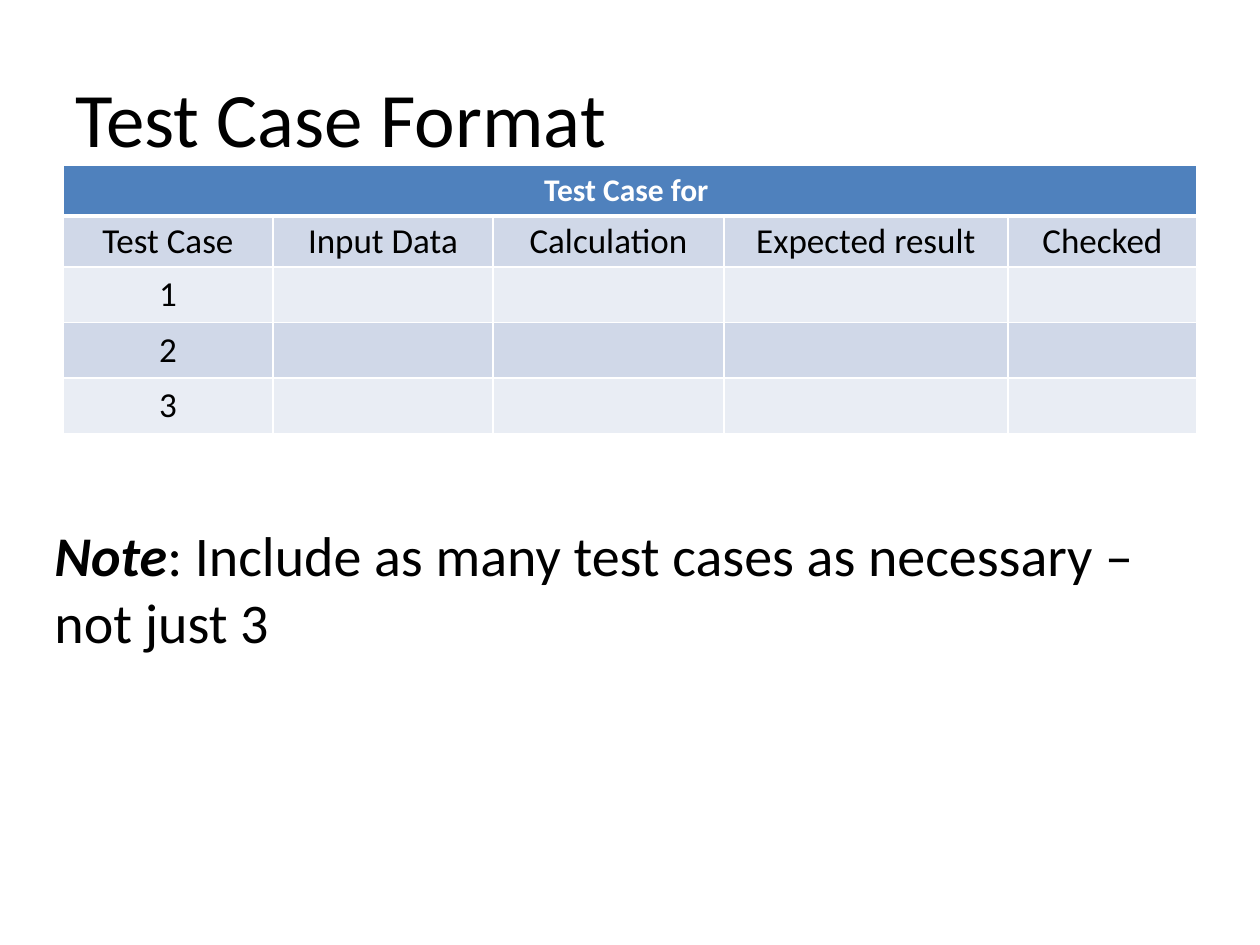
from lxml.etree import SubElement
from pptx import Presentation
from pptx.dml.color import RGBColor
from pptx.enum.text import MSO_ANCHOR, PP_ALIGN
from pptx.oxml.ns import qn
from pptx.util import Emu, Pt

COLORS = {"text": "000000", "white": "FFFFFF", "header": "4F81BD",
          "dark_band": "D0D8E8", "light_band": "E9EDF4"}


def px(length):
    return Emu(round(length * 914400 / 126))


def add_run(paragraph, text, size, color="text", bold=False, italic=False):
    run = paragraph.add_run()
    run.text = text
    run.font.name = "Calibri"
    run.font.size = Pt(size)
    run.font.bold = bold
    run.font.italic = italic
    run.font.color.rgb = RGBColor.from_string(COLORS[color])


presentation = Presentation()
presentation.slide_width = px(1260)
presentation.slide_height = px(945)
slide = presentation.slides.add_slide(presentation.slide_layouts[5])

# Title
title = slide.shapes.title
title.left, title.top, title.width, title.height = px(63), px(38), px(1134), px(157)
title.text_frame.vertical_anchor = MSO_ANCHOR.MIDDLE
paragraph = title.text_frame.paragraphs[0]
paragraph.alignment = PP_ALIGN.LEFT
add_run(paragraph, "Test Case Format", 44)

# Test case table
column_widths = [210, 220, 231, 284, 189]
row_heights = [51, 51, 55, 55, 55]
rows = [
    ["Test Case for "],
    ["Test Case", "Input Data", "Calculation", "Expected result", "Checked"],
    ["1"],
    ["2"],
    ["3"],
]
table = slide.shapes.add_table(
    len(rows), len(column_widths), px(63), px(165),
    px(sum(column_widths)), px(sum(row_heights))).table
for column, width in zip(table.columns, column_widths):
    column.width = px(width)
for row, height in zip(table.rows, row_heights):
    row.height = px(height)
table.cell(0, 0).merge(table.cell(0, len(column_widths) - 1))

for row_index, texts in enumerate(rows):
    is_header = row_index == 0
    band = "header" if is_header else "dark_band" if row_index % 2 else "light_band"
    for column_index in range(len(column_widths)):
        cell = table.cell(row_index, column_index)
        border_widths = {"a:lnL": 1, "a:lnR": 1,
                         "a:lnT": 3 if row_index == 1 else 1,
                         "a:lnB": 3 if is_header else 1}
        properties = cell._tc.get_or_add_tcPr()
        for tag, width in border_widths.items():
            line = SubElement(properties, qn(tag), w=str(Pt(width)))
            line_fill = SubElement(line, qn("a:solidFill"))
            SubElement(line_fill, qn("a:srgbClr"), val=COLORS["white"])
        cell.fill.solid()
        cell.fill.fore_color.rgb = RGBColor.from_string(COLORS[band])
        if row_index == 1:
            cell.vertical_anchor = MSO_ANCHOR.MIDDLE
            cell.margin_left = cell.margin_right = px(9)
            cell.margin_top = cell.margin_bottom = 0
        if column_index < len(texts):
            paragraph = cell.text_frame.paragraphs[0]
            paragraph.alignment = PP_ALIGN.CENTER
            add_run(paragraph, texts[column_index], 18 if is_header else 20,
                    "white" if is_header else "text", bold=is_header)

# Note below the table
note = slide.shapes.add_textbox(px(42), px(514), px(1166), px(149))
note.text_frame.word_wrap = True
paragraph = note.text_frame.paragraphs[0]
add_run(paragraph, "Note", 32, bold=True, italic=True)
add_run(paragraph, ": Include as many test cases as necessary – not just 3", 32)

presentation.save("out.pptx")
